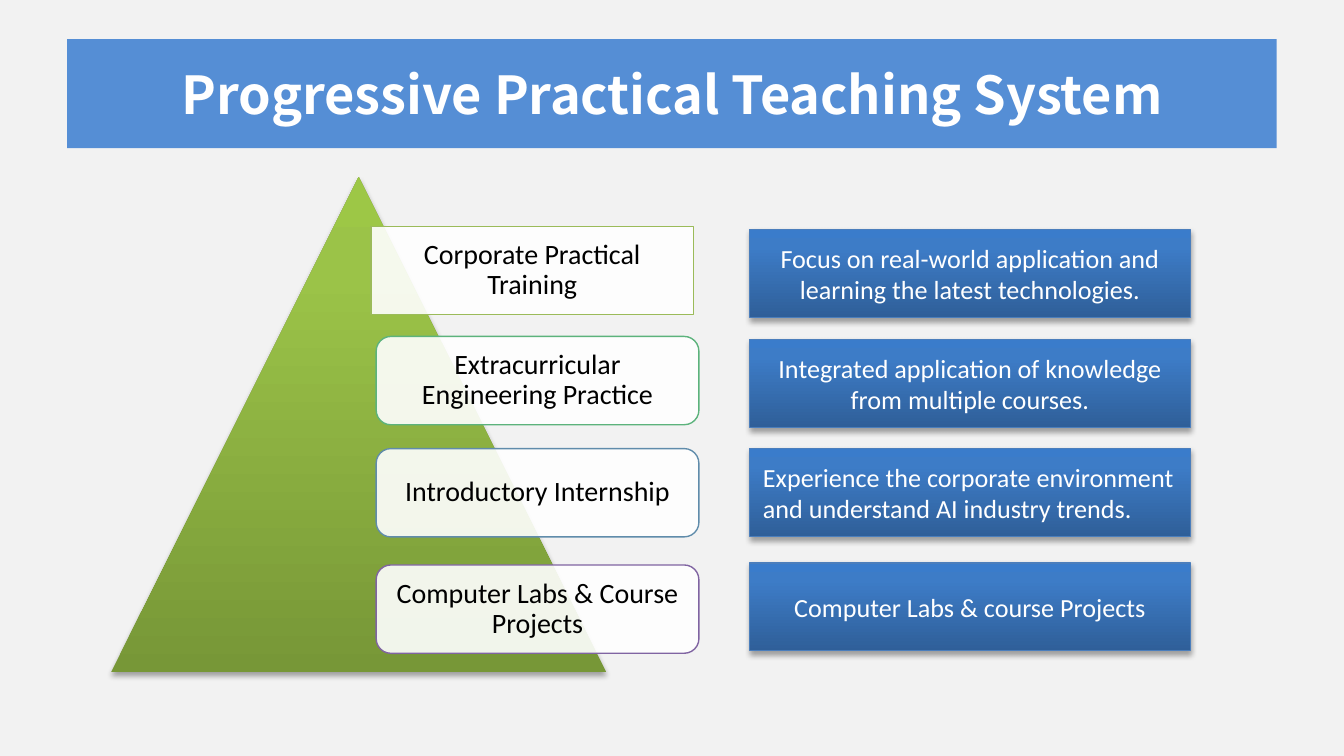
from lxml import etree
from pptx import Presentation
from pptx.dml.color import RGBColor
from pptx.enum.shapes import MSO_SHAPE
from pptx.enum.text import MSO_ANCHOR, PP_ALIGN
from pptx.oxml.ns import qn
from pptx.util import Cm, Pt

RECT, ROUND, TRIANGLE = MSO_SHAPE.RECTANGLE, MSO_SHAPE.ROUNDED_RECTANGLE, MSO_SHAPE.ISOSCELES_TRIANGLE
LEFT, CENTER, MIDDLE = PP_ALIGN.LEFT, PP_ALIGN.CENTER, MSO_ANCHOR.MIDDLE

COLORS = {
    "page": "F2F2F2", "title": "558ED5", "white": "FFFFFF", "black": "000000",
    "green": "9BBB59", "teal": "5CB37C", "steel": "608CAB", "purple": "8064A2",
    "edge": "4B7EBC",
}
GREENS = [(0, "779737"), (80, "9BC348"), (100, "9DC746")]
BLUES = [(0, "2F5F99"), (80, "3D7CC7"), (100, "3A7CCB")]


def add_box(kind, x, y, w, h, fill, line=None):
    sp = s.shapes.add_shape(kind, Cm(x), Cm(y), Cm(w), Cm(h))
    sp.shadow.inherit = False
    if line:
        sp.line.color.rgb = RGBColor.from_string(COLORS[line])
        sp.line.width = Pt(0.75)
    else:
        sp.line.fill.background()
    if isinstance(fill, str):
        sp.fill.solid()
        sp.fill.fore_color.rgb = RGBColor.from_string(COLORS[fill])
        return sp
    sp.fill.gradient()
    sp.fill.gradient_angle = 90
    stops = sp._element.spPr.find(".//" + qn("a:gsLst"))
    for gs in list(stops):
        stops.remove(gs)
    for pos, color in fill:
        gs = etree.SubElement(stops, qn("a:gs"), pos=str(pos * 1000))
        etree.SubElement(gs, qn("a:srgbClr"), val=color)
    effects = sp._element.spPr.find(qn("a:effectLst"))
    shadow = etree.SubElement(effects, qn("a:outerShdw"), blurRad=str(Pt(3.1)),
                              dist=str(Pt(1.8)), dir="5400000", rotWithShape="0")
    clr = etree.SubElement(shadow, qn("a:srgbClr"), val=COLORS["black"])
    etree.SubElement(clr, qn("a:alpha"), val="35000")
    return sp


def add_text(sp, text, color, font, frame, align=CENTER, spacing=1.0):
    tf = sp.text_frame
    for key, value in {"word_wrap": True, "vertical_anchor": MIDDLE, **frame}.items():
        setattr(tf, key, value)
    p = tf.paragraphs[0]
    p.alignment = align
    p.line_spacing = spacing
    r = p.add_run()
    r.text = text
    for key, value in font.items():
        setattr(r.font, key, value)
    r.font.color.rgb = RGBColor.from_string(COLORS[color])


prs = Presentation()
prs.slide_width, prs.slide_height = Cm(25.4), Cm(14.29)
s = prs.slides.add_slide(prs.slide_layouts[6])
s.background.fill.solid()
s.background.fill.fore_color.rgb = RGBColor.from_string(COLORS["page"])

title_font = {"name": "Noto Sans CJK SC", "size": Pt(28), "bold": True}
level_font = {"name": "Calibri", "size": Pt(15)}
goal_font = {"name": "Calibri", "size": Pt(14)}
sides = ["margin_left", "margin_top", "margin_right", "margin_bottom"]
level_frame = dict.fromkeys(sides, Cm(0.15))

sp = add_box(RECT, 1.27, 0.74, 22.86, 2.06, "title")
add_text(sp, "Progressive Practical Teaching System", "white", title_font, {})

add_box(TRIANGLE, 2.1, 3.35, 9.36, 9.36, GREENS)

levels = [
    (RECT, 7.01, 4.28, "green", "Corporate Practical Training"),
    (ROUND, 7.11, 6.36, "teal", "Extracurricular Engineering Practice"),
    (ROUND, 7.11, 8.48, "steel", "Introductory Internship"),
    (ROUND, 7.11, 10.68, "purple", "Computer Labs & Course Projects"),
]
for kind, x, y, line, text in levels:
    sp = add_box(kind, x, y, 6.1, 1.67, "white", line)
    clr = sp._element.spPr.find(qn("a:solidFill")).find(qn("a:srgbClr"))
    etree.SubElement(clr, qn("a:alpha"), val="90000")
    add_text(sp, text, "black", level_font, level_frame, spacing=0.9)

goals = [
    (4.34, CENTER, "Focus on real-world application and learning the latest technologies."),
    (6.42, CENTER, "Integrated application of knowledge from multiple courses."),
    (8.48, LEFT, "Experience the corporate environment and understand AI industry trends."),
    (10.64, CENTER, "Computer Labs & course Projects"),
]
for y, align, text in goals:
    sp = add_box(RECT, 14.17, y, 8.33, 1.66, BLUES, "edge")
    add_text(sp, text, "white", goal_font, {}, align)

prs.save("out.pptx")
